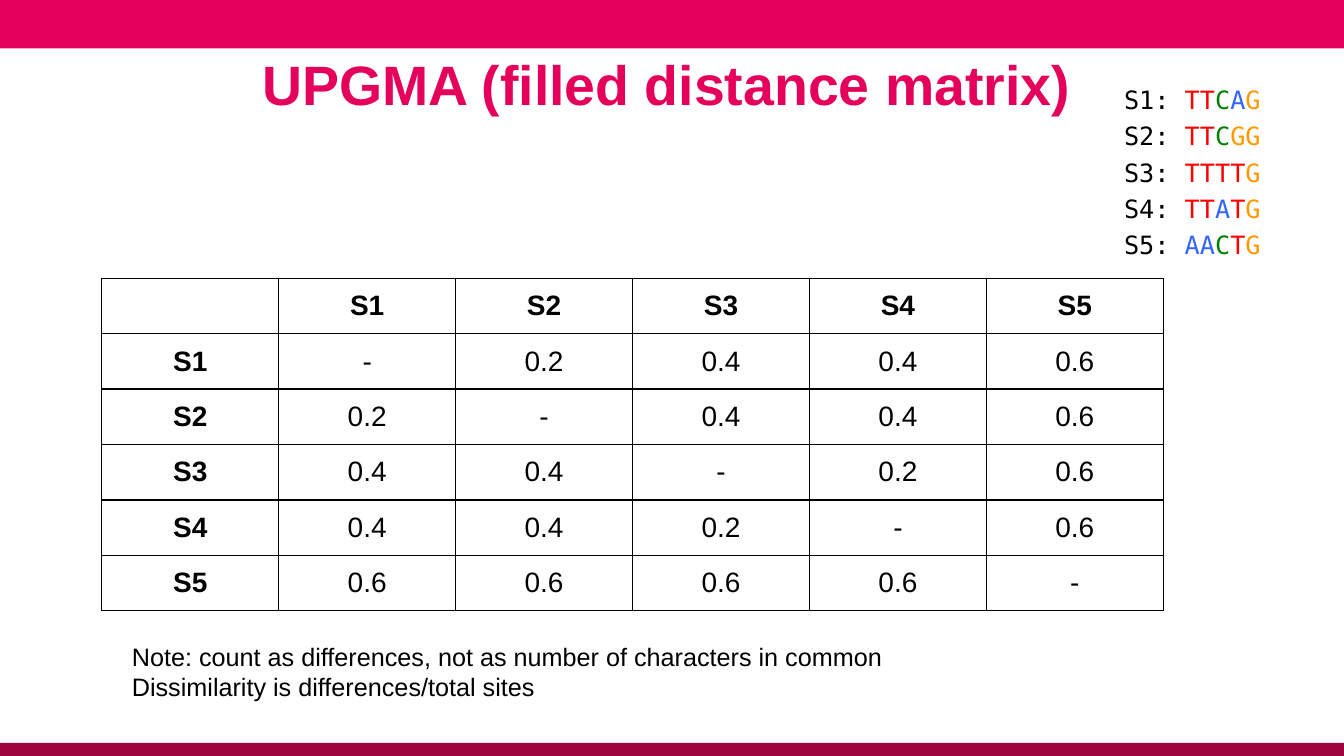
from itertools import groupby

from lxml import etree
from pptx import Presentation
from pptx.dml.color import RGBColor
from pptx.enum.shapes import MSO_SHAPE
from pptx.enum.text import MSO_ANCHOR, PP_ALIGN
from pptx.oxml.ns import qn
from pptx.util import Inches, Pt

RECT = MSO_SHAPE.RECTANGLE
CENTER = PP_ALIGN.CENTER
TOP, MIDDLE = MSO_ANCHOR.TOP, MSO_ANCHOR.MIDDLE
BLACK = "000000"
BASE_COLORS = {"T": "FF0000", "C": "008000", "A": "3366FF", "G": "FF9900"}
SEQUENCES = {"S1": "TTCAG", "S2": "TTCGG", "S3": "TTTTG", "S4": "TTATG", "S5": "AACTG"}


def rgb(color):
    """Turn a hex string into a colour."""
    return RGBColor.from_string(color)


def add_text(p, text, size=18, font="Arial", color=BLACK, bold=False):
    """Append a formatted run to a paragraph."""
    r = p.add_run()
    r.text = text
    r.font.size = Pt(size)
    r.font.name = font
    r.font.bold = bold
    r.font.color.rgb = rgb(color)


def add_box(s, x, y, w, h, anchor=TOP):
    """Add a wrapping text box and return its frame."""
    tf = s.shapes.add_textbox(Inches(x), Inches(y), Inches(w), Inches(h)).text_frame
    tf.word_wrap = True
    tf.vertical_anchor = anchor
    return tf


def next_paragraph(tf, i):
    """Return the first paragraph for index 0, otherwise a new one."""
    return tf.add_paragraph() if i else tf.paragraphs[0]


def add_band(s, x, y, w, h, color):
    """Add a plain coloured band."""
    sp = s.shapes.add_shape(RECT, Inches(x), Inches(y), Inches(w), Inches(h))
    sp.shadow.inherit = False
    sp.fill.solid()
    sp.fill.fore_color.rgb = rgb(color)
    sp.line.fill.background()


def add_title(s, x, y, w, h, text):
    """Add the centred slide title."""
    tf = add_box(s, x, y, w, h, MIDDLE)
    tf.margin_left = 0
    p = tf.paragraphs[0]
    p.alignment = CENTER
    p.line_spacing = 0.9
    add_text(p, text, size=39.6, color="E5005B", bold=True)


def add_sequences(s, x, y, w, h):
    """List the sequences with each base in its colour."""
    tf = add_box(s, x, y, w, h)
    for i, (name, bases) in enumerate(SEQUENCES.items()):
        p = next_paragraph(tf, i)
        p.space_before = Pt(4.2)
        pPr = p._p.get_or_add_pPr()
        pPr.set("marL", str(Inches(0.37)))
        pPr.set("indent", str(-Inches(0.37)))
        add_text(p, f"{name}: ", font="DejaVu Sans Mono")
        for base, group in groupby(bases):
            add_text(p, "".join(group), font="DejaVu Sans Mono", color=BASE_COLORS[base])


def distance(a, b):
    """Give the share of differing sites, or a dash on the diagonal."""
    if a == b:
        return "-"
    pairs = list(zip(SEQUENCES[a], SEQUENCES[b]))
    return f"{sum(m != n for m, n in pairs) / len(pairs):.1f}"


def set_borders(cell):
    """Draw a thin black line on each side of a cell."""
    tcPr = cell._tc.get_or_add_tcPr()
    for i, side in enumerate(("a:lnL", "a:lnR", "a:lnT", "a:lnB")):
        ln = etree.Element(qn(side), w=str(Pt(1)))
        fill = etree.SubElement(ln, qn("a:solidFill"))
        etree.SubElement(fill, qn("a:srgbClr"), val=BLACK)
        tcPr.insert(i, ln)


def add_matrix(s, x, y, w, h):
    """Add the distance matrix as a table."""
    names = list(SEQUENCES)
    rows = [[""] + names] + [[a] + [distance(a, b) for b in names] for a in names]
    n = len(rows)
    table = s.shapes.add_table(n, n, Inches(x), Inches(y), Inches(w), Inches(h)).table
    table.horz_banding = False
    table.first_row = False
    for i, row in enumerate(rows):
        for j, value in enumerate(row):
            cell = table.cell(i, j)
            cell.fill.background()
            cell.vertical_anchor = MIDDLE
            set_borders(cell)
            if value:
                p = cell.text_frame.paragraphs[0]
                p.alignment = CENTER
                add_text(p, value, size=20, bold=i == 0 or j == 0)


def add_note(s, x, y, w, h, lines):
    """Add the note below the matrix."""
    tf = add_box(s, x, y, w, h)
    for i, line in enumerate(lines):
        add_text(next_paragraph(tf, i), line)


def main():
    """Build the slide and save it."""
    prs = Presentation()
    prs.slide_width, prs.slide_height = Inches(13.33), Inches(7.5)
    s = prs.slides.add_slide(prs.slide_layouts[6])
    add_band(s, 0, 0, 13.33, 0.48, "E6005B")
    add_band(s, 0, 7.37, 13.33, 0.13, "9E043D")
    add_title(s, 0.48, 0.49, 12.36, 0.75, "UPGMA (filled distance matrix)")
    add_matrix(s, 1.01, 2.76, 10.53, 3.3)
    add_sequences(s, 11.05, 0.79, 2.09, 1.72)
    add_note(s, 1.21, 6.31, 11.5, 0.71, [
        "Note: count as differences, not as number of characters in common",
        "Dissimilarity is differences/total sites",
    ])
    prs.save("out.pptx")


if __name__ == "__main__":
    main()
